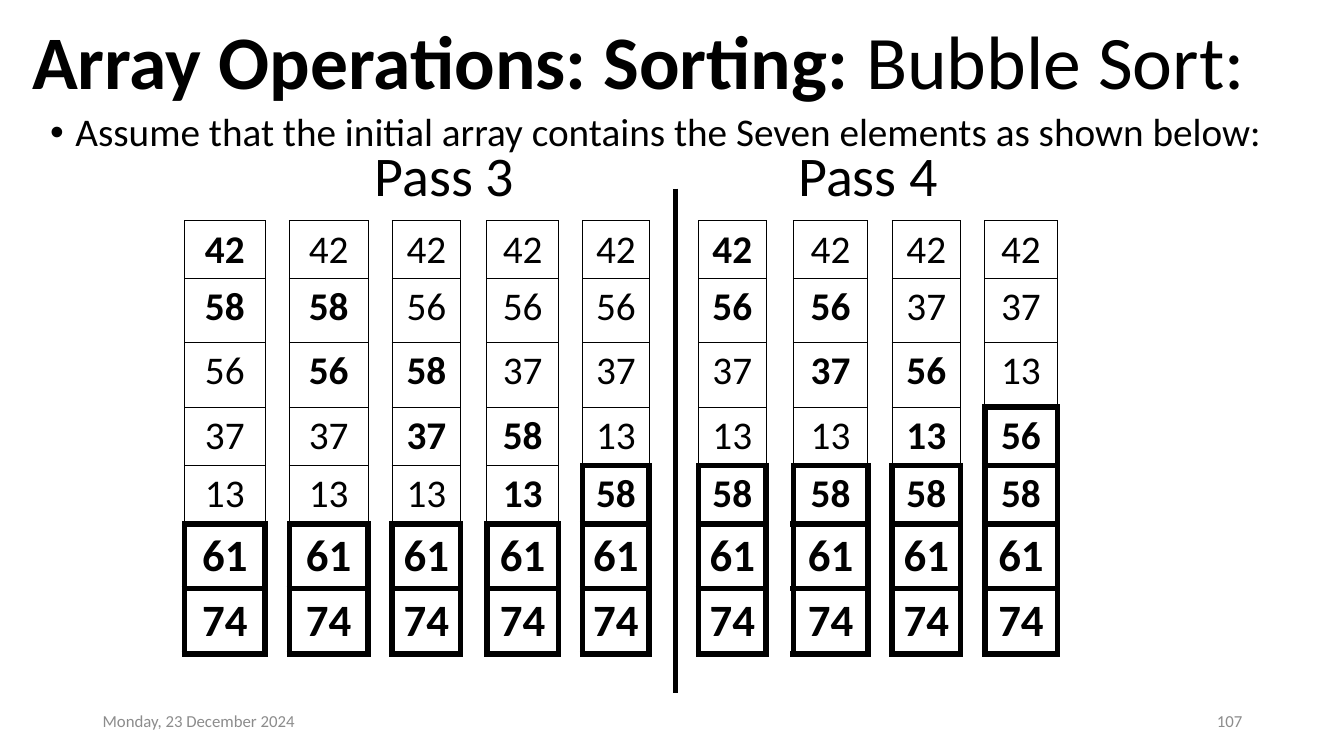
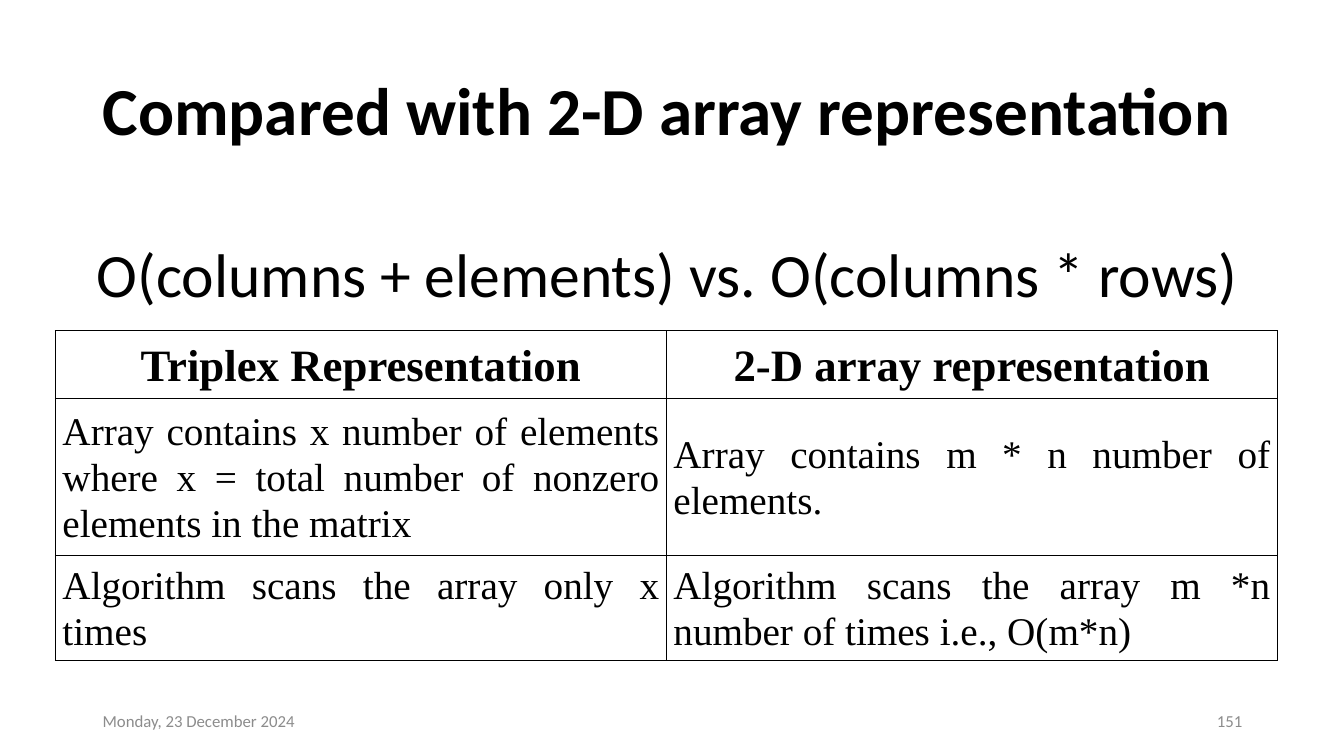
from collections.abc import Callable
from dataclasses import dataclass

from lxml import etree
from pptx import Presentation
from pptx import util as u
from pptx.dml import color as dml
from pptx.enum import text as t
from pptx.oxml import ns

COLORS = {"ink": "000000", "footer": "8C8C8C"}
BODY_FONT = "Calibri"
TABLE_FONT = "Times New Roman"
DATE = "Monday, 23 December 2024"
LEFT, CENTER = t.PP_ALIGN.LEFT, t.PP_ALIGN.CENTER
RIGHT, JUSTIFY = t.PP_ALIGN.RIGHT, t.PP_ALIGN.JUSTIFY
TOP, MIDDLE = t.MSO_ANCHOR.TOP, t.MSO_ANCHOR.MIDDLE

THIN, THICK, RULE = 0.75, 4.5, 1
PASS_START = [42, 58, 56, 37, 13, 61, 74]
COLUMN_WIDTHS = [0.23, 0.8, 0.24, 0.78, 0.24, 0.68, 0.26, 0.71, 0.24, 0.66,
                 0.26, 0.23, 0.67, 0.27, 0.74, 0.24, 0.68, 0.24, 0.72, 0.23]
ROW_HEIGHTS = [0.32, 0.57, 0.64, 0.64, 0.58, 0.58, 0.64, 0.65, 0.39]
DIVIDER = 11
LARGE_FROM_ROW = 6

COMPARISON = [
    ["Triplex Representation", "2-D array representation"],
    ["Array contains x number of elements where x = total number of nonzero "
     "elements in the matrix", "Array contains m * n number of elements."],
    ["Algorithm scans the array only x times",
     "Algorithm scans the array m *n number of times i.e., O(m*n)"],
]


@dataclass(frozen=True)
class Box:
    left: float
    top: float
    width: float
    height: float

    def lengths(self) -> tuple:
        return tuple(map(u.Inches, (self.left, self.top, self.width, self.height)))


@dataclass(frozen=True)
class Snapshot:
    values: tuple[int, ...]
    compared: tuple[int, ...]
    settled_from: int


def add_text(paragraph, text: str, *, size: float, bold: bool = False,
             font: str = BODY_FONT, color: str = "ink", align=LEFT,
             spacing: float = 1.0) -> None:
    paragraph.alignment = align
    paragraph.line_spacing = spacing
    run = paragraph.add_run()
    run.text = text
    run.font.size = u.Pt(size)
    run.font.bold = bold
    run.font.name = font
    run.font.color.rgb = dml.RGBColor.from_string(COLORS[color])


def add_box(slide, box: Box, anchor=TOP, wrap: bool = True):
    frame = slide.shapes.add_textbox(*box.lengths()).text_frame
    frame.word_wrap = wrap
    frame.vertical_anchor = anchor
    return frame.paragraphs[0]


def add_bullet(paragraph) -> None:
    properties = paragraph._p.get_or_add_pPr()
    properties.set("marL", str(u.Inches(0.25)))
    properties.set("indent", str(u.Inches(-0.25)))
    etree.SubElement(properties, ns.qn("a:buFont"), typeface="Arial")
    etree.SubElement(properties, ns.qn("a:buChar"), char="•")


def start_slide(presentation, title_box: Box, number: int):
    slide = presentation.slides.add_slide(presentation.slide_layouts[6])
    title = add_box(slide, title_box, MIDDLE)
    for left, text, align in ((0.92, DATE, LEFT), (9.42, str(number), RIGHT)):
        footer = add_box(slide, Box(left, 6.95, 3, 0.4), MIDDLE)
        add_text(footer, text, size=12, color="footer", align=align)
    return slide, title


def set_borders(cell, widths: dict[str, float]) -> None:
    properties = cell._tc.get_or_add_tcPr()
    for index, side in enumerate("LRTB"):
        line = etree.Element(ns.qn(f"a:ln{side}"))
        if widths[side]:
            line.set("w", str(u.Pt(widths[side])))
            fill = etree.SubElement(line, ns.qn("a:solidFill"))
            etree.SubElement(fill, ns.qn("a:srgbClr"), val=COLORS["ink"])
        else:
            etree.SubElement(line, ns.qn("a:noFill"))
        properties.insert(index, line)


def add_grid(slide, left: float, top: float, columns: list[float],
             rows: list[float], border: Callable[[int, int], dict[str, float]]):
    box = Box(left, top, sum(columns), sum(rows))
    table = slide.shapes.add_table(len(rows), len(columns), *box.lengths()).table
    table.first_row = table.horz_banding = False
    for column, width in zip(table.columns, columns):
        column.width = u.Inches(width)
    for row, height in zip(table.rows, rows):
        row.height = u.Inches(height)
    for row in range(len(rows)):
        for column in range(len(columns)):
            cell = table.cell(row, column)
            cell.fill.background()
            cell.margin_top = cell.margin_bottom = 0
            cell.margin_left = cell.margin_right = u.Inches(0.07)
            set_borders(cell, border(row, column))
    return table


def run_pass(values: list[int], settled_from: int) -> list[Snapshot]:
    current = list(values)
    snapshots = []
    for index in range(settled_from - 1):
        snapshots.append(Snapshot(tuple(current), (index, index + 1), settled_from))
        current[index:index + 2] = sorted(current[index:index + 2])
    snapshots.append(Snapshot(tuple(current), (), settled_from - 1))
    return snapshots


def place_snapshots() -> dict[int, Snapshot]:
    third = run_pass(PASS_START, 5)
    fourth = run_pass(list(third[-1].values), 4)
    fourth = [Snapshot(s.values, s.compared, s.settled_from) for s in fourth]
    placed = {1 + 2 * index: snapshot for index, snapshot in enumerate(third)}
    placed |= {DIVIDER + 1 + 2 * index: s for index, s in enumerate(fourth)}
    return placed


def sorting_borders(snapshots: dict[int, Snapshot]):
    def weight(row: int, column: int) -> float:
        if column not in snapshots or not 1 <= row <= len(PASS_START):
            return 0
        return THICK if row - 1 >= snapshots[column].settled_from else THIN

    def border(row: int, column: int) -> dict[str, float]:
        own = weight(row, column)
        widths = {"L": max(own, weight(row, column - 1)),
                  "R": max(own, weight(row, column + 1)),
                  "T": max(own, weight(row - 1, column)),
                  "B": max(own, weight(row + 1, column))}
        if column == DIVIDER:
            widths["L"] = THICK
        elif column == DIVIDER - 1:
            widths["R"] = THICK
        return widths

    return border


def build_sorting(presentation) -> None:
    slide, title = start_slide(presentation, Box(0.22, 0.1, 12.87, 1.09), 107)
    add_text(title, "Array Operations: Sorting:", size=54, bold=True, spacing=0.9)
    add_text(title, " Bubble Sort:", size=54, spacing=0.9)
    body = add_box(slide, Box(0.4, 1.07, 12.54, 0.69))
    add_bullet(body)
    add_text(body, "Assume that the initial array contains the Seven elements as "
             "shown below:", size=28, align=JUSTIFY, spacing=0.9)

    snapshots = place_snapshots()
    table = add_grid(slide, 1.6, 1.87, COLUMN_WIDTHS, ROW_HEIGHTS,
                     sorting_borders(snapshots))
    for column, snapshot in snapshots.items():
        for index, value in enumerate(snapshot.values):
            row = index + 1
            cell = table.cell(row, column)
            cell.margin_top = cell.margin_bottom = u.Inches(0.05)
            bold = index in snapshot.compared or index >= snapshot.settled_from
            add_text(cell.text_frame.paragraphs[0], str(value), bold=bold,
                     size=32 if row >= LARGE_FROM_ROW else 28, align=CENTER)

    for left, label in ((3.62, "Pass 3"), (7.82, "Pass 4")):
        heading = add_box(slide, Box(left, 1.35, 1.6, 0.77), wrap=False)
        add_text(heading, label, size=40)


def build_comparison(presentation) -> None:
    slide, title = start_slide(presentation, Box(0.92, 0.4, 11.5, 1.45), 151)
    add_text(title, "Compared with 2-D array representation", size=48, bold=True,
             spacing=0.9)
    body = add_box(slide, Box(0.12, 2.37, 13.01, 1.28))
    add_text(body, "O(columns + elements) vs. O(columns * rows)", size=44,
             align=CENTER, spacing=0.9)
    table = add_grid(slide, 0.55, 3.28, [6.06, 6.06], [0.67, 1.56, 1.04],
                     lambda row, column: dict.fromkeys("LRTB", RULE))
    for row, texts in enumerate(COMPARISON):
        header = row == 0
        for column, text in enumerate(texts):
            cell = table.cell(row, column)
            cell.vertical_anchor = MIDDLE
            add_text(cell.text_frame.paragraphs[0], text, font=TABLE_FONT,
                     size=32 if header else 28, bold=header, spacing=1.07,
                     align=CENTER if header else JUSTIFY)


def main() -> None:
    presentation = Presentation()
    presentation.slide_width = u.Inches(13.33)
    presentation.slide_height = u.Inches(7.5)
    build_sorting(presentation)
    build_comparison(presentation)
    presentation.save("out.pptx")


if __name__ == "__main__":
    main()
